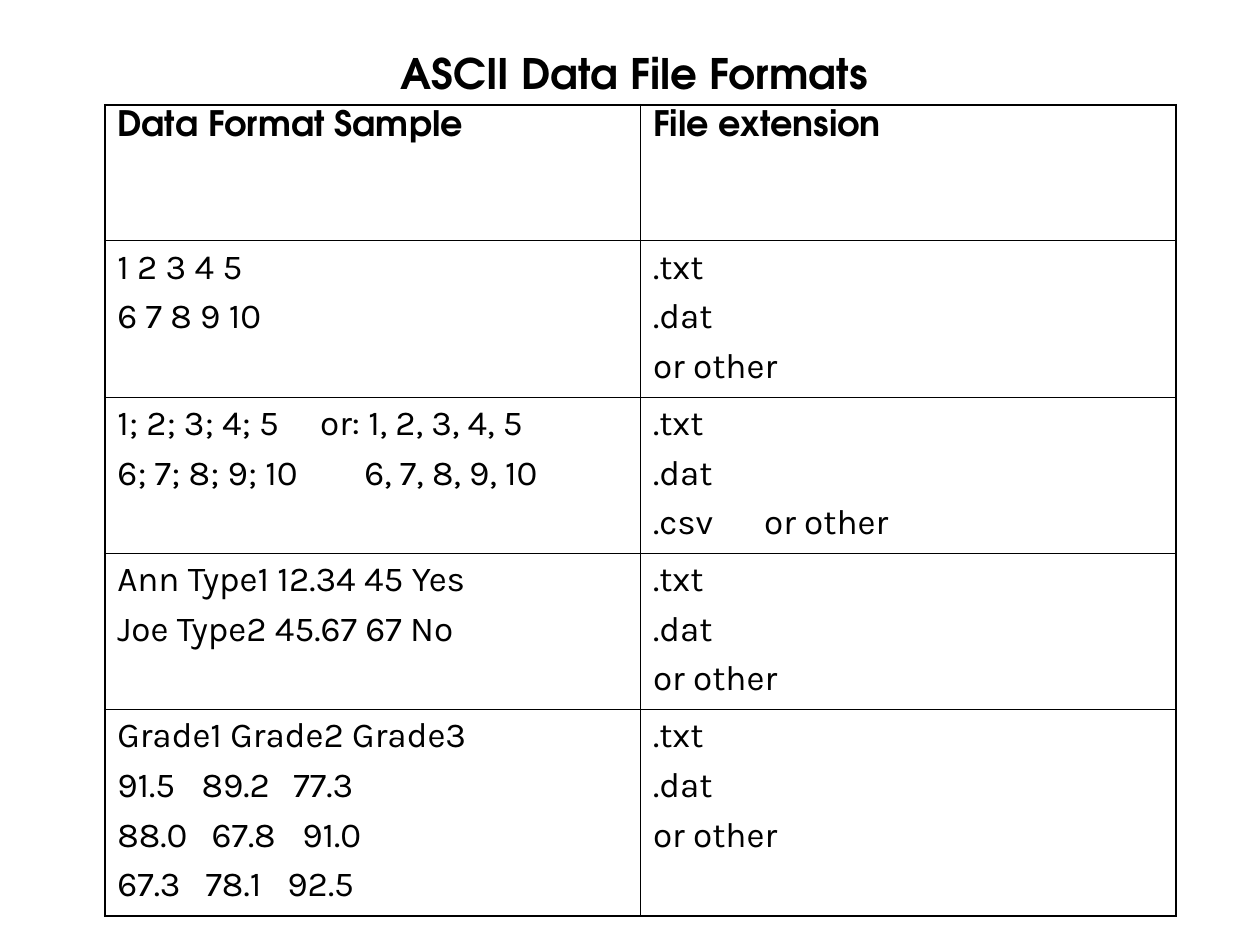
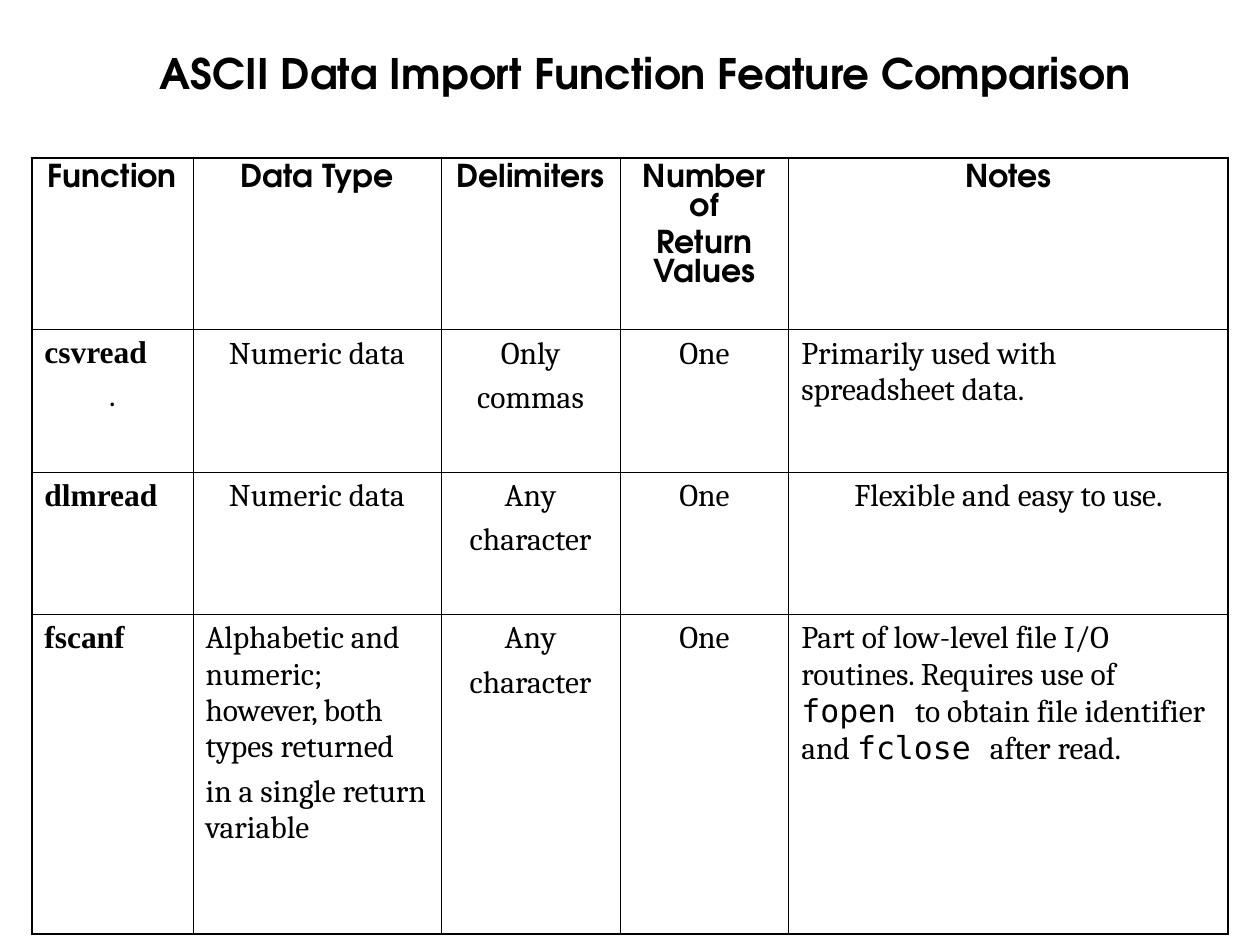
import pptx
import pptx.util
import pptx.dml.color
import pptx.enum.text
import pptx.oxml.ns
import lxml.etree

Cm, Pt = pptx.util.Cm, pptx.util.Pt
ALIGN = pptx.enum.text.PP_ALIGN

# Shared look
INK = "000000"
PAPER = "FFFFFF"
HEADING_FONT = "TeX Gyre Adventor"
CODE_FONT = "DejaVu Sans Mono"
TITLE_TOP, TITLE_HEIGHT = 0.84, 2.29
OUTER_LINE, INNER_LINE = 1.08, 0.45


def colour(hex_string):
    return pptx.dml.color.RGBColor.from_string(hex_string)


def style_run(run, font, size, bold):
    run.font.name = font
    run.font.size = Pt(size)
    run.font.bold = bold
    run.font.color.rgb = colour(INK)


# Content: a cell is a list of paragraphs; a leading "<" aligns one left
# in a centred table, and backticks enclose code
extensions = [".txt", ".dat", "or other"]
pages = [
    {
        "title": "ASCII Data File Formats",
        "title_left": 7.82, "title_width": 10.16,
        "left": 2.11, "top": 2.11,
        "columns": [10.8, 10.8],
        "rows": [2.74, 3.15, 3.15, 3.15, 4.17],
        "size": 20, "space": 5, "align": ALIGN.LEFT,
        "body_font": "Karla", "name_font": None,
        "cells": [
            [["Data Format Sample"], ["File extension"]],
            [["1 2 3 4 5", "6 7 8 9 10"], extensions],
            [["1; 2; 3; 4; 5\tor: 1, 2, 3, 4, 5",
              "6; 7; 8; 9; 10\t6, 7, 8, 9, 10"],
             [".txt", ".dat", ".csv\tor other"]],
            [["Ann Type1 12.34 45 Yes", "Joe Type2 45.67 67 No"], extensions],
            [["Grade1 Grade2 Grade3", "91.5\t89.2\t77.3",
              "88.0\t67.8\t91.0", "67.3\t78.1\t92.5"], extensions],
        ],
    },
    {
        "title": "ASCII Data Import Function Feature Comparison",
        "title_left": 2.97, "title_width": 20.32,
        "left": 0.64, "top": 3.18,
        "columns": [3.25, 5, 3.61, 3.4, 8.86],
        "rows": [3.45, 2.87, 2.87, 6.45],
        "size": 18, "space": 4.5, "align": ALIGN.CENTER,
        "body_font": "Cambria", "name_font": "Times New Roman",
        "cells": [
            [["Function"], ["Data Type"], ["Delimiters"],
             ["Number of", "Return Values"], ["Notes"]],
            [["<csvread", "."], ["Numeric data"], ["Only", "commas"], ["One"],
             ["<Primarily used with spreadsheet data."]],
            [["<dlmread"], ["Numeric data"], ["Any", "character"], ["One"],
             ["Flexible and easy to use."]],
            [["<fscanf"],
             ["<Alphabetic and numeric; however, both types returned",
              "<in a single return variable"],
             ["Any", "character"], ["One"],
             ["<Part of low-level file I/O routines. Requires use of `fopen `"
              "to obtain file identifier and `fclose `after read."]],
        ],
    },
]

# Tab stops in cm, by the text before the first tab
tab_stops = {
    "1; 2; 3; 4; 5": [4.09],
    "6; 7; 8; 9; 10": [4.98],
    ".csv": [2.24],
    "91.5": [1.7, 3.55],
    "88.0": [1.9, 3.73],
    "67.3": [1.78, 3.43],
}

deck = pptx.Presentation()
deck.slide_width, deck.slide_height = Cm(25.4), Cm(19.05)
title_only = deck.slide_layouts[5]

for page in pages:
    slide = deck.slides.add_slide(title_only)
    slide.background.fill.solid()
    slide.background.fill.fore_color.rgb = colour(PAPER)

    # Title
    title = slide.shapes.title
    title.left, title.top = Cm(page["title_left"]), Cm(TITLE_TOP)
    title.width, title.height = Cm(page["title_width"]), Cm(TITLE_HEIGHT)
    heading = title.text_frame
    heading.text = page["title"]
    heading.word_wrap = True
    heading.auto_size = pptx.enum.text.MSO_AUTO_SIZE.SHAPE_TO_FIT_TEXT
    heading.vertical_anchor = pptx.enum.text.MSO_ANCHOR.TOP
    heading.paragraphs[0].alignment = ALIGN.LEFT
    heading.paragraphs[0].space_before = Pt(15)
    style_run(heading.paragraphs[0].runs[0], HEADING_FONT, 24, True)

    # Table grid
    row_count, column_count = len(page["rows"]), len(page["columns"])
    grid = slide.shapes.add_table(
        row_count, column_count, Cm(page["left"]), Cm(page["top"]),
        Cm(sum(page["columns"])), Cm(sum(page["rows"]))).table
    grid.first_row = grid.horz_banding = False
    for column, width in zip(grid.columns, page["columns"]):
        column.width = Cm(width)
    for row, height in zip(grid.rows, page["rows"]):
        row.height = Cm(height)

    for r, row_cells in enumerate(page["cells"]):
        for c, lines in enumerate(row_cells):
            cell = grid.cell(r, c)
            cell.fill.background()

            # Borders: heavier on the outside of the table
            on_edge = {"lnL": c == 0, "lnR": c == column_count - 1,
                       "lnT": r == 0, "lnB": r == row_count - 1}
            properties = cell._tc.get_or_add_tcPr()
            for position, (side, outer) in enumerate(on_edge.items()):
                border = lxml.etree.Element(pptx.oxml.ns.qn("a:" + side))
                border.set("w", str(Pt(OUTER_LINE if outer else INNER_LINE)))
                fill = lxml.etree.SubElement(border, pptx.oxml.ns.qn("a:solidFill"))
                lxml.etree.SubElement(fill, pptx.oxml.ns.qn("a:srgbClr"), val=INK)
                properties.insert(position, border)

            # Cell text
            frame = cell.text_frame
            for n, line in enumerate(lines):
                paragraph = frame.add_paragraph() if n else frame.paragraphs[0]
                paragraph.alignment = ALIGN.LEFT if line.startswith("<") else page["align"]
                paragraph.space_before = Pt(page["space"])
                if "\t" in line:
                    stops = lxml.etree.SubElement(
                        paragraph._p.get_or_add_pPr(), pptx.oxml.ns.qn("a:tabLst"))
                    for stop in tab_stops[line.split("\t")[0]]:
                        lxml.etree.SubElement(stops, pptx.oxml.ns.qn("a:tab"),
                                              pos=str(Cm(stop)), algn="l")

                is_name = page["name_font"] and c == 0 and n == 0
                for k, piece in enumerate(line.lstrip("<").split("`")):
                    run = paragraph.add_run()
                    run.text = piece
                    if r == 0:
                        style_run(run, HEADING_FONT, page["size"], True)
                    elif is_name:
                        style_run(run, page["name_font"], page["size"], True)
                    else:
                        font = CODE_FONT if k % 2 else page["body_font"]
                        style_run(run, font, page["size"], False)

deck.save("out.pptx")
